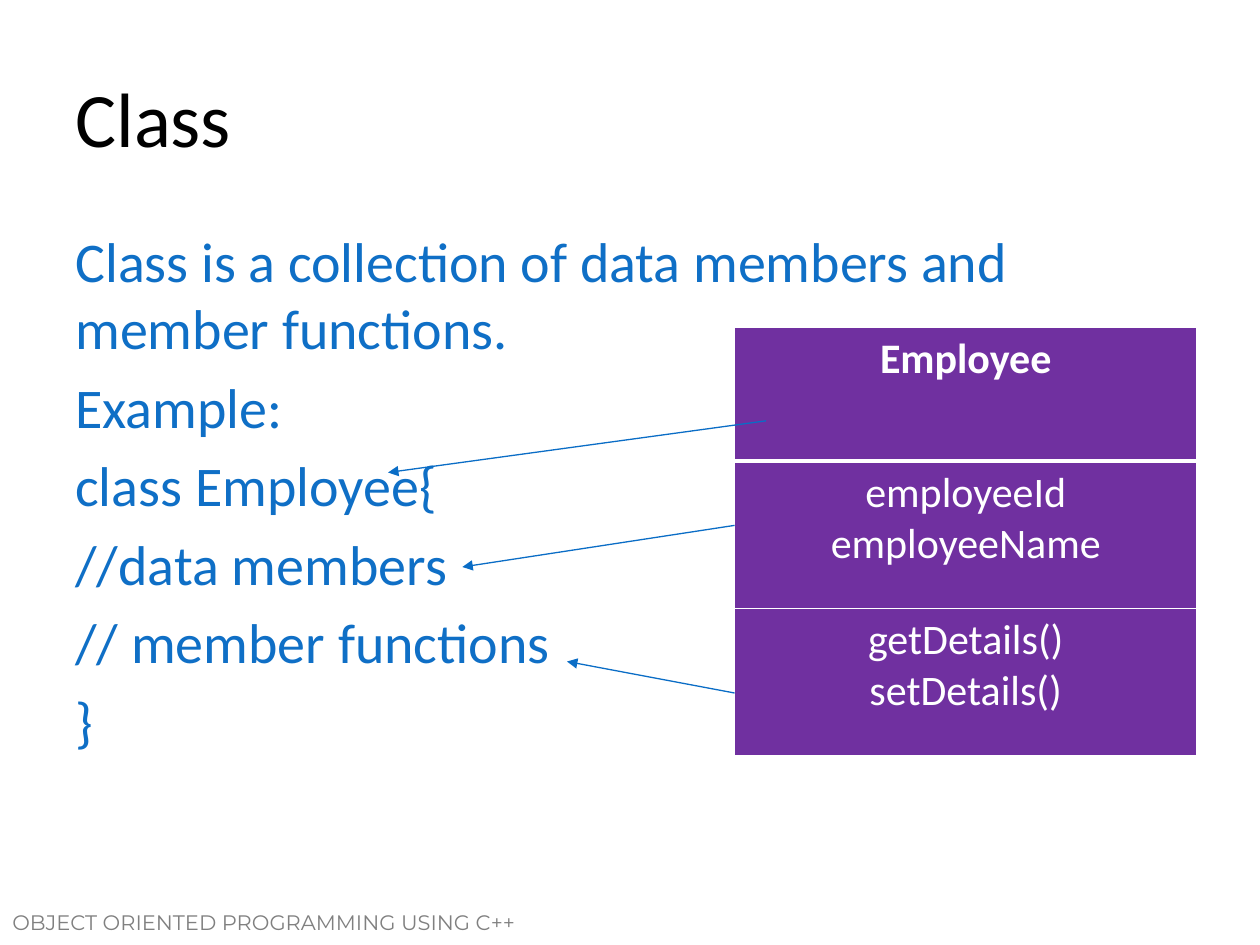
from dataclasses import dataclass

from lxml import etree
from pptx import Presentation
from pptx import util as u
from pptx.dml.color import RGBColor
from pptx.enum import shapes, text
from pptx.oxml import ns


@dataclass(frozen=True)
class Theme:
    font: str = "Calibri"
    footer_font: str = "Montserrat"
    title_color: str = "000000"
    body_color: str = "0F6FC6"
    footer_color: str = "808080"
    arrow_color: str = "0A6DC6"
    member_fill: str = "7030A0"
    member_color: str = "FFFFFF"
    title_size: int = 44
    body_size: int = 32
    member_size: int = 24
    footer_size: int = 12
    arrow_width: float = 0.75
    border_width: int = 1
    header_border_width: int = 3


THEME = Theme()


def write_text(frame, lines, *, size, color, font=THEME.font, bold=False,
               align=text.PP_ALIGN.LEFT, space_before=0):
    for index, line in enumerate(lines):
        paragraph = frame.paragraphs[0] if index == 0 else frame.add_paragraph()
        paragraph.alignment = align
        paragraph.space_before = u.Pt(space_before)
        run = paragraph.add_run()
        run.text = line
        run.font.name = font
        run.font.size = u.Pt(size)
        run.font.bold = bold
        run.font.color.rgb = RGBColor.from_string(color)


def add_text_box(slide, box, lines, *, anchor=text.MSO_ANCHOR.TOP, **text_format):
    frame = slide.shapes.add_textbox(*map(u.Inches, box)).text_frame
    frame.word_wrap = True
    frame.vertical_anchor = anchor
    write_text(frame, lines, **text_format)


def set_border(cell, side, width):
    properties = cell._tc.get_or_add_tcPr()
    border = etree.SubElement(properties, ns.qn(f"a:ln{side}"), w=str(u.Pt(width)))
    fill = etree.SubElement(border, ns.qn("a:solidFill"))
    etree.SubElement(fill, ns.qn("a:srgbClr"), val=THEME.member_color)


def add_class_table(slide, box, row_heights, sections):
    table = slide.shapes.add_table(len(sections), 1, *map(u.Inches, box)).table
    for index, (height, members) in enumerate(zip(row_heights, sections)):
        table.rows[index].height = u.Inches(height)
        cell = table.cell(index, 0)
        header_sides = {0: "B", 1: "T"}.get(index)
        for side in "LRTB":
            width = (THEME.header_border_width if side == header_sides
                     else THEME.border_width)
            set_border(cell, side, width)
        cell.fill.solid()
        cell.fill.fore_color.rgb = RGBColor.from_string(THEME.member_fill)
        write_text(cell.text_frame, members, size=THEME.member_size,
                   color=THEME.member_color, bold=index == 0,
                   align=text.PP_ALIGN.CENTER)


def add_arrow(slide, start, end):
    arrow = slide.shapes.add_connector(
        shapes.MSO_CONNECTOR.STRAIGHT, *map(u.Inches, start + end))
    arrow.line.color.rgb = RGBColor.from_string(THEME.arrow_color)
    arrow.line.width = u.Pt(THEME.arrow_width)
    etree.SubElement(arrow.line._get_or_add_ln(), ns.qn("a:tailEnd"), type="triangle")
    etree.SubElement(arrow._element.spPr, ns.qn("a:effectLst"))


def main():
    deck = Presentation()
    deck.slide_width, deck.slide_height = u.Inches(10), u.Inches(7.5)
    slide = deck.slides.add_slide(deck.slide_layouts[6])

    add_text_box(slide, (0, 7.17, 5, 0.42), ["OBJECT ORIENTED PROGRAMMING USING C++"],
                 font=THEME.footer_font, size=THEME.footer_size,
                 color=THEME.footer_color)
    add_text_box(slide, (0.5, 0.3, 9, 1.25), ["Class"],
                 anchor=text.MSO_ANCHOR.MIDDLE, size=THEME.title_size,
                 color=THEME.title_color)
    add_text_box(slide, (0.5, 1.75, 9, 4.95), [
        "Class is a collection of data members and member functions.",
        "Example:",
        "class Employee{",
        "//data members",
        "// member functions",
        "}",
    ], size=THEME.body_size, color=THEME.body_color,
        space_before=THEME.body_size * 0.2)

    add_class_table(slide, (5.83, 2.6, 3.67, 3.4), (1.06, 1.17, 1.17), [
        ["Employee"],
        ["employeeId", "employeeName"],
        ["getDetails()", "setDetails()"],
    ])
    for start, end in [
        ((6.08, 3.34), (3.08, 3.75)),
        ((5.83, 4.17), (3.67, 4.5)),
        ((5.83, 5.5), (4.5, 5.25)),
    ]:
        add_arrow(slide, start, end)

    deck.save("out.pptx")


if __name__ == "__main__":
    main()
